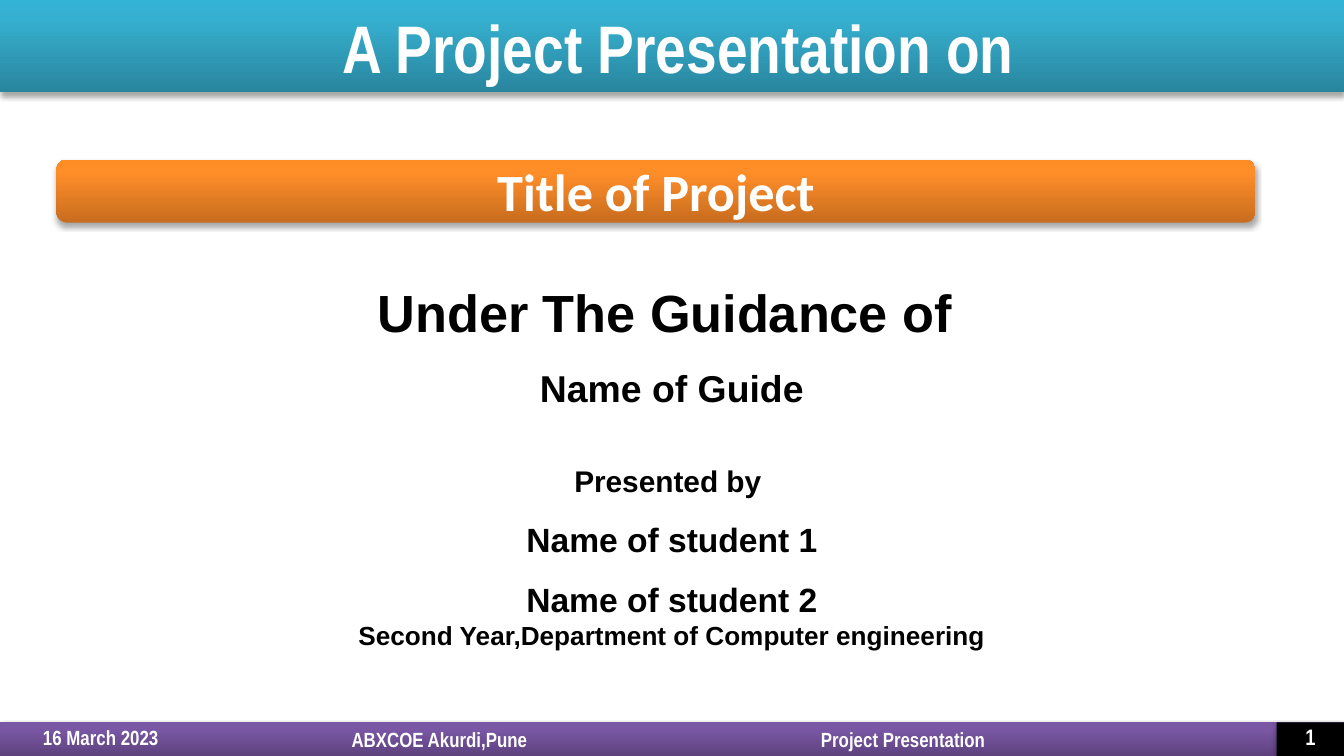
"""Build the title slide of a student project presentation."""
from dataclasses import dataclass

from pptx import Presentation
from pptx.dml.color import RGBColor
from pptx.enum.shapes import MSO_SHAPE
from pptx.enum.text import MSO_ANCHOR, PP_ALIGN
from pptx.oxml import parse_xml
from pptx.oxml.ns import nsdecls
from pptx.util import Inches, Pt

WIDTH = Inches(10)
HEIGHT = WIDTH * 9 // 16
COLUMNS, ROWS = 100, 90
FOOTER_ROW, FOOTER_ROWS = 86, 4
COLORS = {"white": "FFFFFF", "black": "000000"}
GRADIENTS = {
    "teal": ("29859E", "36B0D0", "33B3D5"),
    "purple": ("5D427D", "7A57A5", "7A56A7"),
    "orange": ("C86C1F", "FF8E29", "FF8D25"),
}
STOPS = (0, 80, 100)


@dataclass(frozen=True)
class Area:
    column: float
    row: float
    columns: float
    rows: float

    def box(self) -> tuple[int, int, int, int]:
        return (
            int(WIDTH * self.column / COLUMNS),
            int(HEIGHT * self.row / ROWS),
            int(WIDTH * self.columns / COLUMNS),
            int(HEIGHT * self.rows / ROWS),
        )


@dataclass(frozen=True)
class Line:
    text: str
    size: float
    spacing: float = 1.0
    before: float = 0


@dataclass(frozen=True)
class Band:
    area: Area
    color: str
    line: Line
    font: str = "Arial Narrow"
    rounded: bool = False


@dataclass(frozen=True)
class Label:
    area: Area
    line: Line


BANDS = (
    Band(Area(0, 0, 100, 11), "teal", Line(" A Project Presentation on", 36)),
    Band(Area(0, FOOTER_ROW, 100, FOOTER_ROWS), "purple", Line("", 11)),
    Band(Area(95, FOOTER_ROW, 5, FOOTER_ROWS), "black", Line("1", 12, 0.8)),
    Band(Area(4.2, 19, 89.2, 7.5), "orange", Line("Title of Project", 28), "Calibri", True),
)
FOOTER_LABELS = (
    Label(Area(0, FOOTER_ROW, 15, FOOTER_ROWS), Line("16 March 2023", 11, 0.8)),
    Label(Area(21.7, FOOTER_ROW, 22, FOOTER_ROWS), Line("ABXCOE Akurdi,Pune", 11)),
    Label(Area(56.2, FOOTER_ROW, 22, FOOTER_ROWS), Line("Project Presentation", 11)),
)
CREDITS_AREA = Area(0, 32.6, 100, 45)
CREDITS = (
    Line("Under The Guidance of ", 28),
    Line("Name of Guide", 20, 1.5),
    Line("Presented by ", 16, 1.5, before=18.4),
    Line(" Name of student 1 ", 18, 1.5),
    Line("Name of student 2", 18, 1.5),
    Line("Second Year,Department of Computer engineering", 14),
)


def write(frame, *lines: Line, font: str, color: str, anchor=MSO_ANCHOR.MIDDLE) -> None:
    frame.word_wrap = True
    frame.vertical_anchor = anchor
    for index, line in enumerate(lines):
        paragraph = frame.add_paragraph() if index else frame.paragraphs[0]
        paragraph.alignment = PP_ALIGN.CENTER
        paragraph.line_spacing = line.spacing
        paragraph.space_before = Pt(line.before)
        run = paragraph.add_run()
        run.text = line.text
        run.font.name = font
        run.font.size = Pt(line.size)
        run.font.bold = True
        run.font.color.rgb = RGBColor.from_string(COLORS[color])


def fill_gradient(shape, name: str) -> None:
    stops = "".join(
        f'<a:gs pos="{stop * 1000}"><a:srgbClr val="{color}"/></a:gs>'
        for stop, color in zip(STOPS, GRADIENTS[name])
    )
    gradient = parse_xml(
        f'<a:gradFill {nsdecls("a")} rotWithShape="1"><a:gsLst>{stops}</a:gsLst>'
        '<a:lin ang="16200000" scaled="0"/></a:gradFill>'
    )
    shape.element.spPr.insert(2, gradient)


def cast_shadow(shape) -> None:
    shape.element.spPr.append(parse_xml(
        f'<a:effectLst {nsdecls("a")}>'
        f'<a:outerShdw blurRad="{Pt(3.1)}" dist="{Pt(1.8)}" dir="5400000" rotWithShape="0">'
        f'<a:srgbClr val="{COLORS["black"]}"><a:alpha val="35000"/></a:srgbClr>'
        '</a:outerShdw></a:effectLst>'
    ))


def add_band(slide, band: Band) -> None:
    kind = MSO_SHAPE.ROUNDED_RECTANGLE if band.rounded else MSO_SHAPE.RECTANGLE
    shape = slide.shapes.add_shape(kind, *band.area.box())
    if band.color in GRADIENTS:
        fill_gradient(shape, band.color)
    else:
        shape.fill.solid()
        shape.fill.fore_color.rgb = RGBColor.from_string(COLORS[band.color])
    shape.line.fill.background()
    cast_shadow(shape)
    if band.line.text:
        write(shape.text_frame, band.line, font=band.font, color="white")


def add_label(slide, label: Label) -> None:
    frame = slide.shapes.add_textbox(*label.area.box()).text_frame
    write(frame, label.line, font="Arial Narrow", color="white")


def main() -> None:
    presentation = Presentation()
    presentation.slide_width, presentation.slide_height = WIDTH, HEIGHT
    slide = presentation.slides.add_slide(presentation.slide_layouts[6])
    for band in BANDS:
        add_band(slide, band)
    for label in FOOTER_LABELS:
        add_label(slide, label)
    credits_frame = slide.shapes.add_textbox(*CREDITS_AREA.box()).text_frame
    write(credits_frame, *CREDITS, font="Arial", color="black", anchor=MSO_ANCHOR.TOP)
    presentation.save("out.pptx")


if __name__ == "__main__":
    main()
